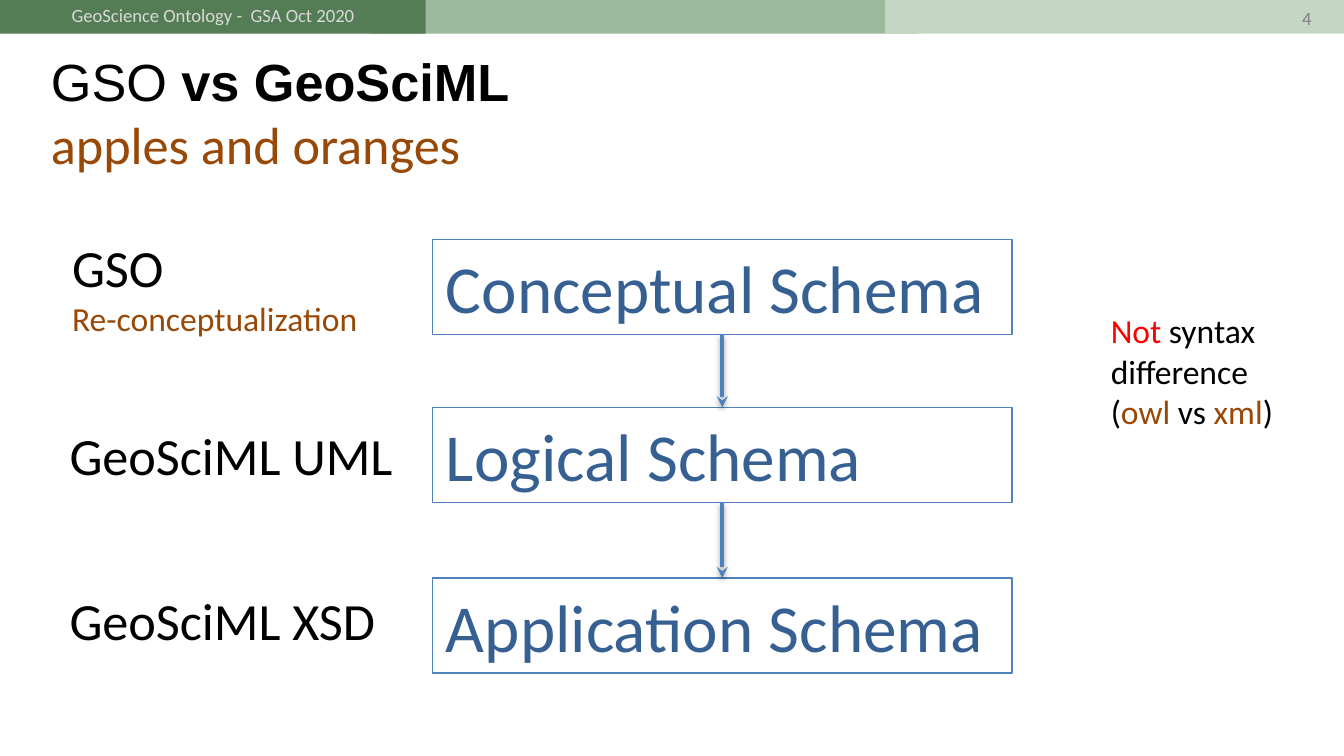
from lxml import etree
from pptx import Presentation
from pptx.dml.color import RGBColor
from pptx.enum.shapes import MSO_CONNECTOR, MSO_SHAPE
from pptx.enum.text import PP_ALIGN
from pptx.oxml import parse_xml
from pptx.oxml.ns import nsdecls, qn
from pptx.util import Pt

RECT = MSO_SHAPE.RECTANGLE
LINE = MSO_CONNECTOR.STRAIGHT
LEFT, MID = PP_ALIGN.LEFT, PP_ALIGN.CENTER

BLACK = RGBColor(0x00, 0x00, 0x00)
RED = RGBColor(0xFF, 0x00, 0x00)
BROWN = RGBColor(0x98, 0x48, 0x07)
BLUE = RGBColor(0x4F, 0x81, 0xBD)
NAVY = RGBColor(0x37, 0x60, 0x92)
GREY = RGBColor(0x80, 0x80, 0x80)
PALE = RGBColor(0xD9, 0xD9, 0xD9)
MOSS = RGBColor(0x9B, 0xB9, 0x9B)
DARK = RGBColor(0x55, 0x7D, 0x55)
MINT = RGBColor(0xC4, 0xD6, 0xC4)

# Content: bands are (left, width, colour)
BANDS = [(198, 294, MOSS), (0, 228, DARK), (474, 246, MINT)]
BAND_H = 18

# Schemas are (name, top)
SCHEMAS = [("Conceptual Schema", 128.2), ("Logical Schema", 218.2),
           ("Application Schema", 309.6)]
BOX_X, BOX_W, BOX_H = 231.8, 310.3, 51

# Texts are (place, paragraphs of (text, own format) runs, shared format)
TEXTS = [
    ((0, -1.3, 228, 19.4), [[("GeoScience Ontology -  GSA Oct 2020", {})]],
     dict(size=10, color=PALE, align=MID)),
    ((690.5, 0, 29.5, 18.7), [[("4", {})]], dict(size=10, color=GREY)),
    ((20.2, 23, 699.8, 104.4),
     [[("GSO", dict(font="Arial")),
       (" vs GeoSciML", dict(font="Arial", bold=True))],
      [("apples and oranges", dict(color=BROWN))]], dict(size=28)),
    ((31.5, 122.4, 179.3, 63.4),
     [[("GSO", {})],
      [("Re-conceptualization", dict(size=18, color=BROWN))]],
     dict(size=28)),
    ((30.2, 223.2, 201.6, 41), [[("GeoSciML UML", {})]], dict(size=28)),
    ((30.2, 311.8, 201.6, 41), [[("GeoSciML XSD", {})]], dict(size=28)),
    ((588, 162.7, 110.2, 72.7),
     [[("Not", dict(color=RED)), (" syntax difference (", {}),
       ("owl ", dict(color=BROWN)), ("vs ", {}),
       ("xml", dict(color=BROWN)), (")", {})]], dict(size=18)),
]

SHADOW = (f'<a:effectLst {nsdecls("a")}>'
          '<a:outerShdw blurRad="39370" dist="20320" dir="5400000" '
          'rotWithShape="0"><a:srgbClr val="000000"><a:alpha val="38000"/>'
          '</a:srgbClr></a:outerShdw></a:effectLst>')


def style(run, size=18, color=BLACK, font="Calibri", bold=False):
    run.font.size = Pt(size)
    run.font.color.rgb = color
    run.font.name = font
    run.font.bold = bold


def write(shape, paras, align=LEFT, **base):
    frame = shape.text_frame
    frame.word_wrap = True
    for i, runs in enumerate(paras):
        para = frame.add_paragraph() if i else frame.paragraphs[0]
        para.alignment = align
        for text, own in runs:
            run = para.add_run()
            run.text = text
            style(run, **{**base, **own})


def add_rect(shapes, place, fill=None, line=None):
    rect = shapes.add_shape(RECT, *map(Pt, place))
    rect.shadow.inherit = False
    if fill is None:
        rect.fill.background()
    else:
        rect.fill.solid()
        rect.fill.fore_color.rgb = fill
    if line is None:
        rect.line.fill.background()
    else:
        rect.line.color.rgb = line
        rect.line.width = Pt(0.75)
    return rect


def add_arrow(shapes, upper, lower):
    arrow = shapes.add_connector(LINE, 0, 0, 0, 0)
    arrow.begin_connect(upper, 2)
    arrow.end_connect(lower, 0)
    arrow.line.color.rgb = BLUE
    arrow.line.width = Pt(2)
    etree.SubElement(arrow.line._get_or_add_ln(), qn("a:tailEnd"),
                     type="stealth")
    arrow._element.spPr.append(parse_xml(SHADOW))


def main():
    deck = Presentation()
    deck.slide_width, deck.slide_height = Pt(720), Pt(405)
    shapes = deck.slides.add_slide(deck.slide_layouts[6]).shapes

    # Header bands
    for left, width, color in BANDS:
        add_rect(shapes, (left, 0, width, BAND_H), fill=color)

    # Schema boxes, top to bottom
    boxes = []
    for name, top in SCHEMAS:
        box = add_rect(shapes, (BOX_X, top, BOX_W, BOX_H), line=BLUE)
        write(box, [[(name, {})]], size=36, color=NAVY)
        boxes.append(box)

    # Arrows from each box to the next
    for upper, lower in zip(boxes, boxes[1:]):
        add_arrow(shapes, upper, lower)

    # Header text, title, labels and note
    for place, paras, base in TEXTS:
        write(shapes.add_textbox(*map(Pt, place)), paras, **base)

    deck.save("out.pptx")


if __name__ == "__main__":
    main()
